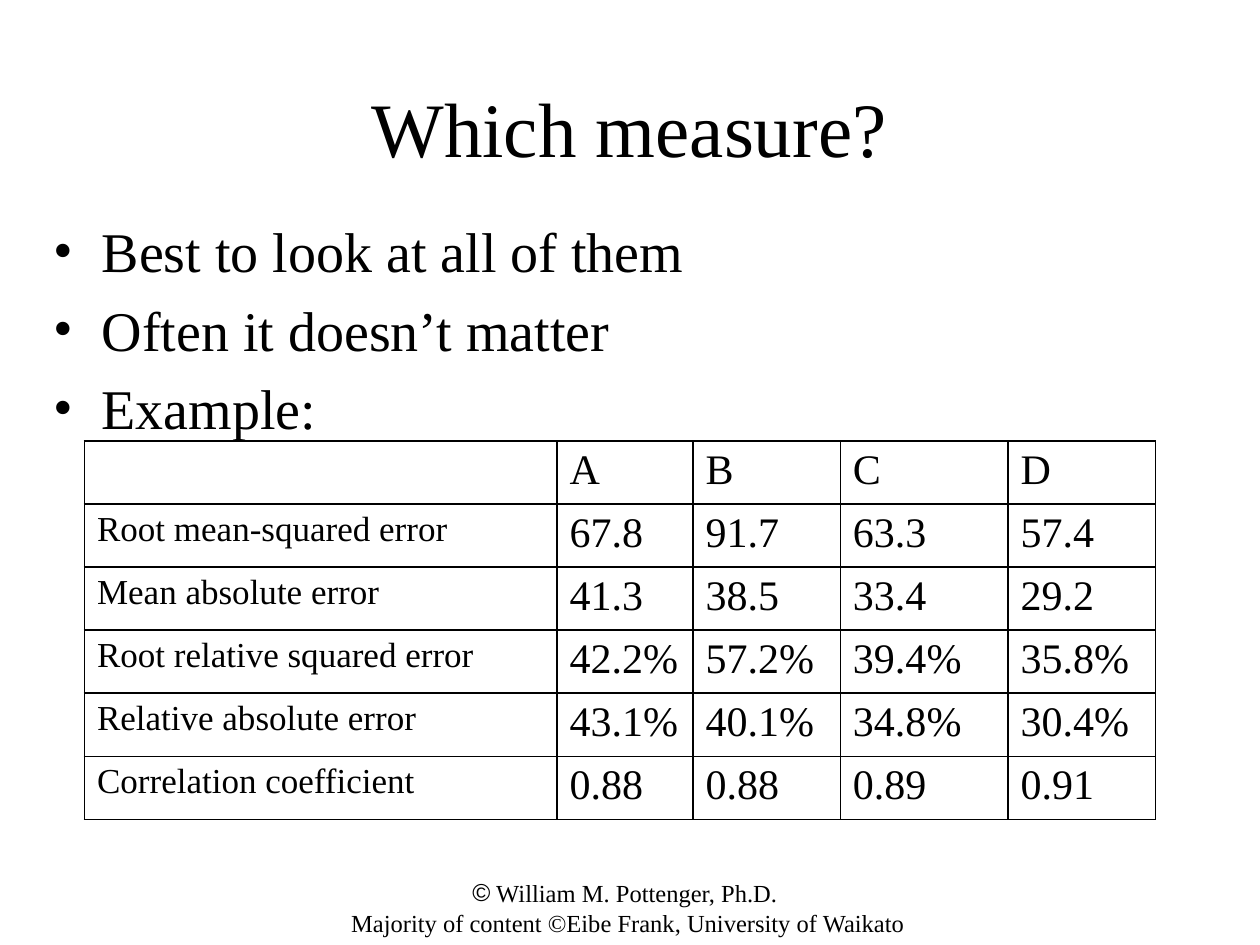
from lxml.etree import SubElement
from pptx import Presentation
from pptx.dml.color import RGBColor
from pptx.enum.text import MSO_ANCHOR as Anchor, PP_ALIGN as Align
from pptx.oxml.ns import qn
from pptx.util import Inches, Pt

COLORS = {"text": "000000", "border": "000000", "background": "FFFFFF"}
FONT = "Times New Roman"
BULLETS = ["Best to look at all of them", "Often it doesn’t matter", "Example:"]
FOOTER = [" William M. Pottenger, Ph.D.",
          " Majority of content ©Eibe Frank, University of Waikato"]
COLUMN_WIDTHS = [3.75, 1.08, 1.17, 1.33, 1.17]
ROW_HEIGHT = 0.5
MEASURES = [
    ["", "A", "B", "C", "D"],
    ["Root mean-squared error", "67.8", "91.7", "63.3", "57.4"],
    ["Mean absolute error", "41.3", "38.5", "33.4", "29.2"],
    ["Root relative squared error", "42.2%", "57.2%", "39.4%", "35.8%"],
    ["Relative absolute error", "43.1%", "40.1%", "34.8%", "30.4%"],
    ["Correlation coefficient", "0.88", "0.88", "0.89", "0.91"],
]


def color(name):
    return RGBColor.from_string(COLORS[name])


def write(paragraph, text, size, align=Align.LEFT):
    paragraph.alignment = align
    run = paragraph.add_run()
    run.text = text
    for name, value in {"size": Pt(size), "name": FONT}.items():
        setattr(run.font, name, value)
    run.font.color.rgb = color("text")


def space_before(paragraph, percent):
    properties = paragraph._p.get_or_add_pPr()
    spacing = SubElement(properties, qn("a:spcBef"))
    SubElement(spacing, qn("a:spcPct"), val=str(percent * 1000))


def add_bullet(paragraph, character, font, indent=0):
    properties = paragraph._p.get_or_add_pPr()
    properties.set("marL", str(Inches(indent)))
    properties.set("indent", str(-Inches(indent)))
    SubElement(properties, qn("a:buFont"), typeface=font)
    SubElement(properties, qn("a:buChar"), char=character)


def add_text(slide, box, lines, size, align=Align.LEFT, anchor=Anchor.TOP):
    shape = slide.shapes.add_textbox(*map(Inches, box))
    frame = shape.text_frame
    for name, value in {"word_wrap": True, "vertical_anchor": anchor}.items():
        setattr(frame, name, value)
    for index, line in enumerate(lines):
        paragraph = frame.add_paragraph() if index else frame.paragraphs[0]
        write(paragraph, line, size, align)
    return frame.paragraphs


def add_borders(cell):
    properties = cell._tc.get_or_add_tcPr()
    for side in ("lnL", "lnR", "lnT", "lnB"):
        line = SubElement(properties, qn(f"a:{side}"), w=str(Pt(1)))
        fill = SubElement(line, qn("a:solidFill"))
        SubElement(fill, qn("a:srgbClr"), val=COLORS["border"])


def add_measure_table(slide, left, top):
    width, height = sum(COLUMN_WIDTHS), ROW_HEIGHT * len(MEASURES)
    table = slide.shapes.add_table(
        len(MEASURES), len(COLUMN_WIDTHS),
        *map(Inches, (left, top, width, height))).table
    for name in ("first_row", "horz_banding"):
        setattr(table, name, False)
    for column, column_width in zip(table.columns, COLUMN_WIDTHS):
        column.width = Inches(column_width)
    for row_index, values in enumerate(MEASURES):
        table.rows[row_index].height = Inches(ROW_HEIGHT)
        for column_index, value in enumerate(values):
            cell = table.cell(row_index, column_index)
            add_borders(cell)
            cell.fill.background()
            if value:
                paragraph = cell.text_frame.paragraphs[0]
                write(paragraph, value, 24 if column_index else 20)
                space_before(paragraph, 20)


def main():
    presentation = Presentation()
    presentation.slide_width = Inches(10)
    presentation.slide_height = Inches(7.5)
    slide = presentation.slides.add_slide(presentation.slide_layouts[6])
    slide.background.fill.solid()
    slide.background.fill.fore_color.rgb = color("background")

    footer = add_text(slide, (2.25, 6.92, 5.42, 0.33), FOOTER, 14, Align.CENTER)
    add_bullet(footer[0], "©", "Arial")
    add_text(slide, (0.33, 0.42, 9.33, 1.17), ["Which measure?"], 44,
             Align.CENTER, Anchor.MIDDLE)
    for paragraph in add_text(slide, (0.33, 1.67, 9.33, 4.75), BULLETS, 32):
        space_before(paragraph, 20)
        add_bullet(paragraph, "•", FONT, 0.38)
    add_measure_table(slide, 0.67, 3.5)
    presentation.save("out.pptx")


main()
